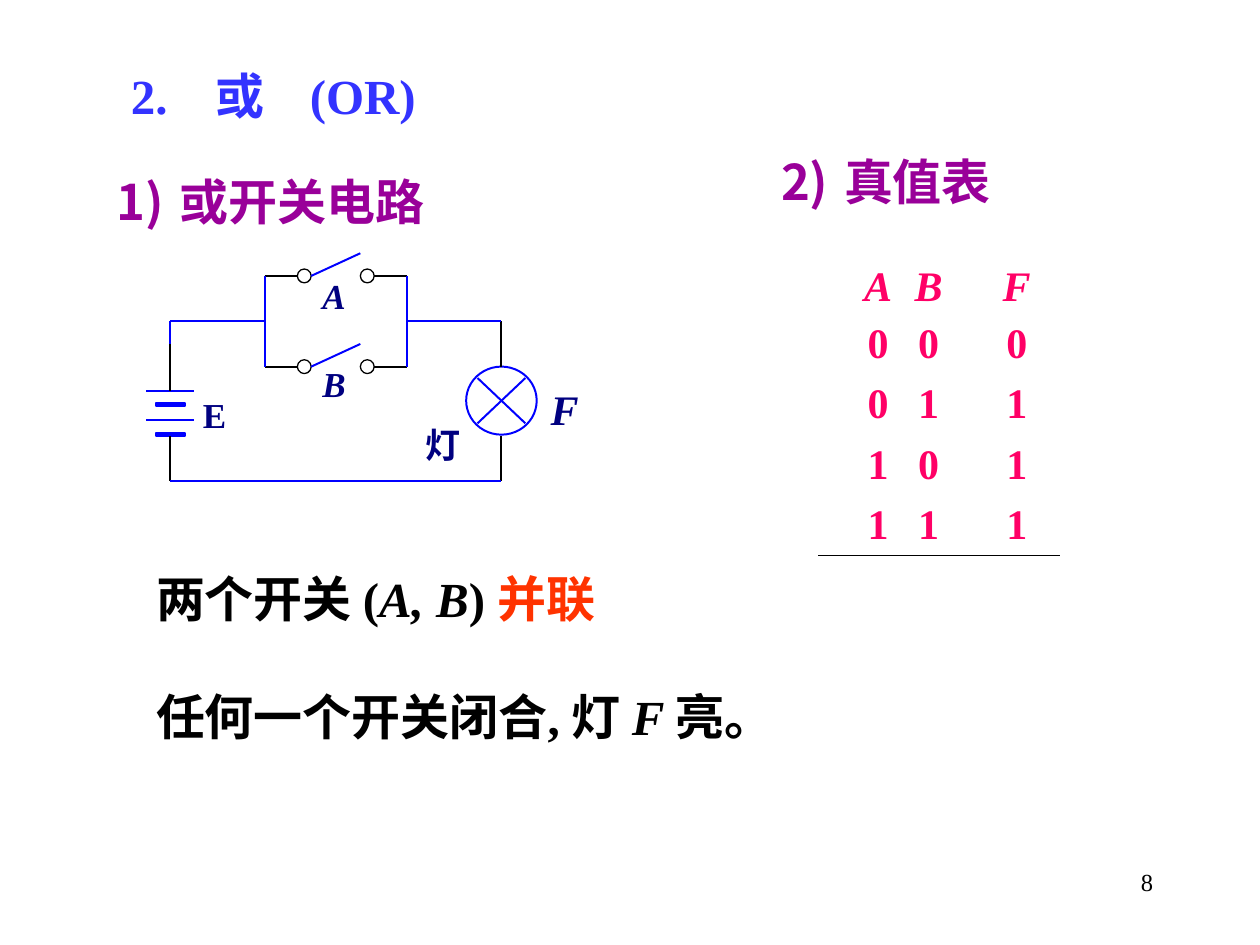
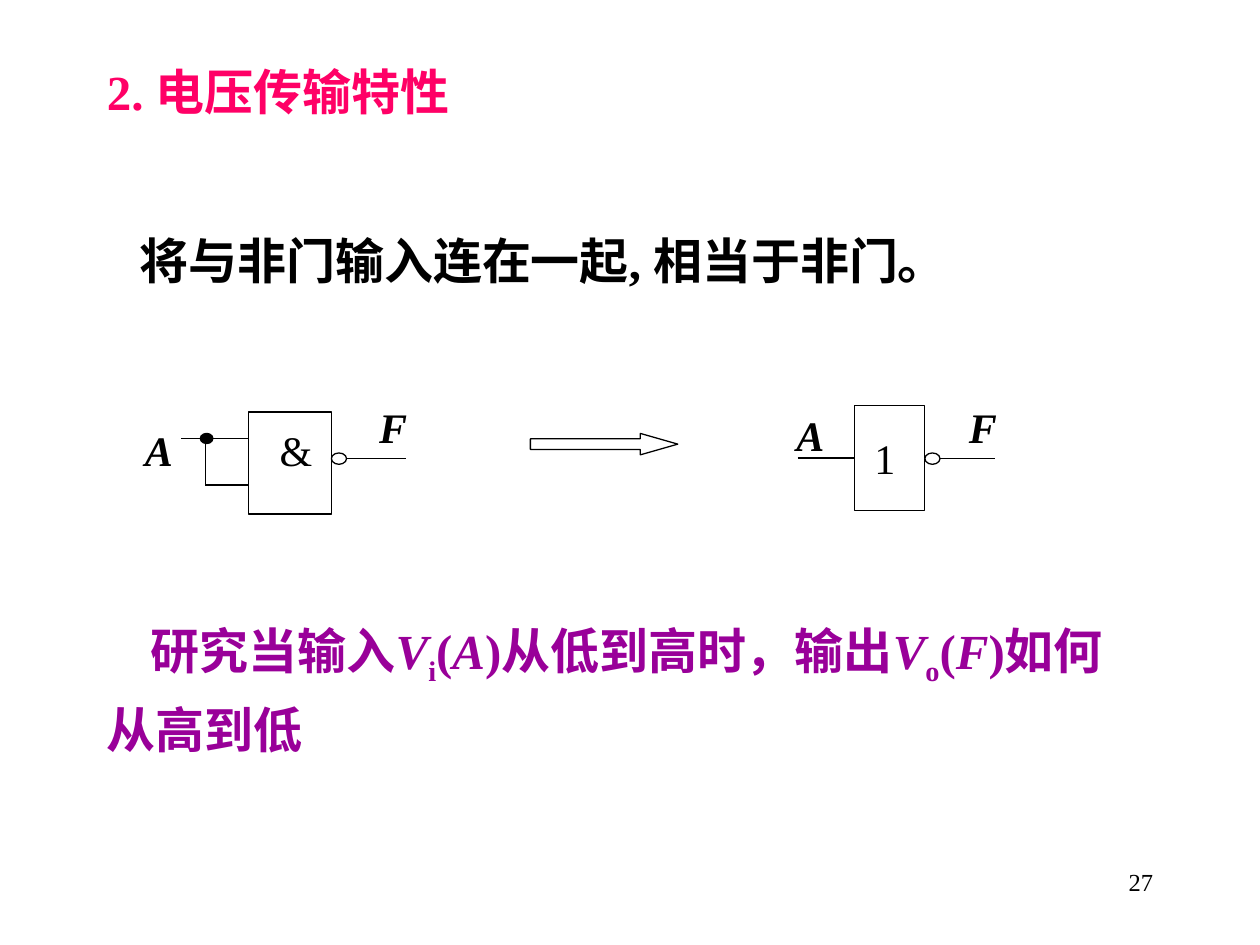
from lxml import etree
from pptx import Presentation
from pptx.dml.color import RGBColor
from pptx.enum.shapes import MSO_CONNECTOR, MSO_SHAPE
from pptx.enum.text import MSO_ANCHOR, PP_ALIGN
from pptx.oxml.ns import qn
from pptx.util import Inches, Pt

STRAIGHT = MSO_CONNECTOR.STRAIGHT
OVAL, RECT, ARROW = MSO_SHAPE.OVAL, MSO_SHAPE.RECTANGLE, MSO_SHAPE.RIGHT_ARROW
CENTER, RIGHT = PP_ALIGN.CENTER, PP_ALIGN.RIGHT
MIDDLE = MSO_ANCHOR.MIDDLE

BLACK = RGBColor(0x00, 0x00, 0x00)
WHITE = RGBColor(0xFF, 0xFF, 0xFF)
BLUE = RGBColor(0x00, 0x00, 0xFF)
NAVY = RGBColor(0x00, 0x00, 0x80)
TITLE_BLUE = RGBColor(0x33, 0x33, 0xFF)
PURPLE = RGBColor(0x99, 0x00, 0x99)
PINK = RGBColor(0xFF, 0x00, 0x66)
RED = RGBColor(0xFF, 0x33, 0x00)

LATIN, CJK = "Times New Roman", "Noto Sans CJK SC"
BODY, SYMBOL, SMALL, FOOTER = 28, 24, 20, 14
THIN, WIRE = 0.75, 1.13
LINE_H = 5.7

# The slide is a grid of 100 columns by 75 rows.
SLIDE_W, SLIDE_H = Inches(10), Inches(7.5)
COLS, ROWS = 100, 75


def across(cols):
    return round(SLIDE_W * cols / COLS)


def down(rows):
    return round(SLIDE_H * rows / ROWS)


def place(left, top, width, height):
    return across(left), down(top), across(width), down(height)


def add_run(p, text, size, color, bold=True, italic=False, sub=False):
    r = p.add_run()
    r.text = text
    r.font.size, r.font.bold, r.font.italic = Pt(size), bold, italic
    r.font.color.rgb = color
    r.font.name = LATIN
    rPr = r._r.get_or_add_rPr()
    etree.SubElement(rPr, qn("a:ea")).set("typeface", CJK)
    if sub:
        rPr.set("baseline", "-25000")


def add_text(s, box, runs, color, size=BODY, bold=True, inset=(1, 0.5)):
    """Add a one-paragraph box; runs are (text, options) pairs. Return the paragraph."""
    tf = s.shapes.add_textbox(*place(*box)).text_frame
    tf.word_wrap = True
    tf.margin_left = tf.margin_right = across(inset[0])
    tf.margin_top = tf.margin_bottom = down(inset[1])
    p = tf.paragraphs[0]
    for text, options in runs:
        add_run(p, text, **{"size": size, "color": color, "bold": bold, **options})
    return p


def add_label(s, left, top, text, color=BLACK, size=SYMBOL, bold=True, italic=False):
    add_text(s, (left, top, 4, 4), [(text, {"italic": italic})], color, size,
             bold, inset=(0, 0))


def add_page_number(s, number):
    p = add_text(s, (71.7, 68.3, 20.8, 5), [(str(number), {})], BLACK, FOOTER, bold=False)
    p.alignment = RIGHT


def set_indent(p, left, first):
    pPr = p._p.get_or_add_pPr()
    pPr.set("marL", str(across(left)))
    pPr.set("indent", str(across(first)))
    return pPr


def add_numbered_heading(s, box, number, text):
    p = add_text(s, box, [(text, {})], PURPLE)
    pPr = set_indent(p, 5, -5)
    color = etree.SubElement(pPr, qn("a:buClr"))
    etree.SubElement(color, qn("a:srgbClr")).set("val", str(PURPLE))
    etree.SubElement(pPr, qn("a:buFont")).set("typeface", CJK)
    bullet = etree.SubElement(pPr, qn("a:buAutoNum"))
    bullet.set("type", "arabicParenR")
    bullet.set("startAt", str(number))


def add_tabs(p, stops):
    tabs = etree.SubElement(p._p.get_or_add_pPr(), qn("a:tabLst"))
    for stop in stops:
        tab = etree.SubElement(tabs, qn("a:tab"))
        tab.set("pos", str(across(stop)))
        tab.set("algn", "l")


def add_line(s, x1, y1, x2, y2, color=BLACK, width=THIN):
    line = s.shapes.add_connector(STRAIGHT, across(x1), down(y1), across(x2), down(y2))
    line.line.color.rgb, line.line.width = color, Pt(width)
    etree.SubElement(line._element.spPr, qn("a:effectLst"))
    return line


def add_figure(s, kind, box, fill=None, color=BLACK, width=THIN):
    sp = s.shapes.add_shape(kind, *place(*box))
    sp.shadow.inherit = False
    if fill is None:
        sp.fill.background()
    else:
        sp.fill.solid()
        sp.fill.fore_color.rgb = fill
    sp.line.color.rgb, sp.line.width = color, Pt(width)
    return sp


def add_switch(s, left, right, y, name, name_top):
    """An open switch between two uprights of the parallel branch."""
    size, lead = 1.1, 2.6
    add_line(s, left, y, left + lead, y, width=WIRE)
    add_line(s, right - lead, y, right, y, width=WIRE)
    for x in (left + lead, right - lead - size):
        add_figure(s, OVAL, (x, y - size / 2, size, size), width=0)
    add_line(s, left + lead + size, y, right - lead - size, y - 1.8, BLUE, WIRE)
    add_label(s, left + 4.6, name_top, name, NAVY, SMALL, italic=True)


def add_lamp(s, x, y):
    width, height, dx, dy = 5.6, 5.4, 1.9, 1.8
    add_line(s, x + dx, y - dy, x - dx, y + dy, BLUE, WIRE)
    add_line(s, x - dx, y - dy, x + dx, y + dy, BLUE, WIRE)
    add_figure(s, OVAL, (x - width / 2, y - height / 2, width, height), None, BLUE, WIRE)
    add_label(s, 43.7, 30.4, "F", NAVY, italic=True)
    add_label(s, 33.8, 33.6, "灯", NAVY, SMALL)


def add_battery(s, x, top):
    for y in (top, top + 2.3):
        add_line(s, x - 1.9, y, x + 1.9, y, BLUE, WIRE)
    for y in (top + 1, top + 3.4):
        add_figure(s, RECT, (x - 1.1, y, 2.3, 0.2), BLUE, BLUE, WIRE)
    add_label(s, x + 2.6, top + 0.2, "E", NAVY, SMALL)


def add_or_circuit(s):
    source, fork, join, lamp = 13.5, 21, 32.3, 39.8
    upper, middle, lower, bottom = 21.9, 25.5, 29.1, 38.2
    add_switch(s, fork, join, upper, "A", 21.8)
    add_switch(s, fork, join, lower, "B", 28.8)
    add_lamp(s, lamp, 31.8)
    add_battery(s, source, 31)
    for x, y1, y2 in ((lamp, middle, 29.1), (lamp, 34.6, bottom),
                      (source, 27.3, 31), (source, 34.6, bottom)):
        add_line(s, x, y1, x, y2, width=WIRE)
    for ends in ((source, middle, source, 27.3), (source, bottom, lamp, bottom),
                 (fork, upper, fork, lower), (join, upper, join, lower),
                 (join, middle, lamp, middle), (source, middle, fork, middle)):
        add_line(s, *ends, BLUE, WIRE)


def add_cell_border(cell, side):
    """Draw a thin black border; side is L or B."""
    ln = etree.Element(qn("a:ln" + side))
    ln.set("w", str(Pt(THIN)))
    fill = etree.SubElement(ln, qn("a:solidFill"))
    etree.SubElement(fill, qn("a:srgbClr")).set("val", str(BLACK))
    tcPr = cell._tc.get_or_add_tcPr()
    tcPr.insert(len(tcPr.findall(qn("a:lnL"))), ln)


def add_truth_table(s):
    rows = ["ABF"] + [f"{a}{b}{a | b}" for a in (0, 1) for b in (0, 1)]
    widths, head_h, row_h = (6.7, 6.6, 5.8), 4.2, 4.8
    side_margins = ((2.7, 0), (0, 2.6), (0, 1))
    frame = s.shapes.add_table(len(rows), len(widths), *place(
        65, 20.7, sum(widths), head_h + row_h * (len(rows) - 1)))
    table = frame.table
    table.first_row = table.horz_banding = False
    for column, width in zip(table.columns, widths):
        column.width = across(width)
    for i, values in enumerate(rows):
        table.rows[i].height = down(row_h if i else head_h)
        for j, value in enumerate(values):
            cell = table.cell(i, j)
            cell.fill.background()
            cell.vertical_anchor = MIDDLE
            cell.margin_top = cell.margin_bottom = 0
            cell.margin_left, cell.margin_right = map(across, side_margins[j])
            p = cell.text_frame.paragraphs[0]
            p.alignment = CENTER
            add_run(p, value, SYMBOL, PINK, italic=i == 0)
            if j == 2:
                add_cell_border(cell, "L")
            if i in (0, len(rows) - 1):
                add_cell_border(cell, "B")


def add_gate(s, box, out_y, out_end, symbol, symbol_at):
    """A gate body with an inverting bubble and its output wire. Return the body."""
    body = add_figure(s, RECT, box, WHITE)
    right, bubble_w, bubble_h = box[0] + box[2], 1.2, 0.9
    add_line(s, right + bubble_w, out_y, out_end, out_y)
    add_figure(s, OVAL, (right, out_y - bubble_h / 2, bubble_w, bubble_h), WHITE)
    add_label(s, *symbol_at, symbol, bold=False)
    add_label(s, out_end - 2.1, 31.9, "F", italic=True)
    return body


def add_nand_gate(s):
    add_gate(s, (19.7, 32.7, 6.6, 8.1), 36.4, 32.2, "&", (22.2, 33.7))
    add_label(s, 11.5, 33.7, "A", italic=True)
    add_line(s, 14.4, 34.8, 19.7, 34.8)
    add_line(s, 16.3, 38.5, 19.7, 38.5)
    add_line(s, 16.3, 34.8, 16.3, 38.5)
    add_figure(s, OVAL, (15.9, 34.4, 1, 0.8), BLACK)


def add_not_gate(s):
    left, top, width, height = box = (67.8, 32.2, 5.6, 8.3)
    body = add_gate(s, box, 36.4, 79, "1", (69.4, 34.3))
    add_label(s, 63.2, 32.5, "A", italic=True)
    middle = top + height / 2
    add_line(s, 63.3, middle, left, middle).end_connect(body, 1)


def build_or_slide(s):
    p = add_text(s, (9.4, 4.7, 28.9, LINE_H), [("2.\t或\t(OR)", {})], TITLE_BLUE)
    add_tabs(p, (6.7, 14.2))
    add_numbered_heading(s, (8.3, 13.1, 39.2, LINE_H), 1, "或开关电路")
    add_numbered_heading(s, (61, 11.5, 33.2, LINE_H), 2, "真值表")
    add_or_circuit(s)
    add_truth_table(s)
    add_text(s, (11.4, 44.6, 45, LINE_H), [
        ("两个开关 (", {}), ("A, B", {"italic": True}), (") ", {}),
        ("并联", {"color": RED})], BLACK)
    add_text(s, (11.4, 54, 52.8, LINE_H), [
        ("任何一个开关闭合, 灯 ", {}), ("F ", {"italic": True}), ("亮。", {})], BLACK)
    add_page_number(s, 8)


def build_transfer_slide(s):
    italic, sub = {"italic": True}, {"sub": True}
    add_text(s, (7.5, 4.4, 85, LINE_H), [("2. 电压传输特性", {})], PINK)
    p = add_text(s, (7.5, 17.8, 76.4, LINE_H),
                 [("将与非门输入连在一起, 相当于非门。", {})], BLACK)
    set_indent(p, 0, 2.6)
    add_nand_gate(s)
    arrow = add_figure(s, ARROW, (42.1, 34.4, 11.7, 1.7), WHITE)
    arrow.adjustments[1] = 1.75
    add_not_gate(s)
    p = add_text(s, (7.5, 47.7, 83.3, 13), [
        ("研究当输入", {}), ("V", italic), ("i", sub), ("(", {}), ("A", italic),
        (")从低到高时，输出", {}), ("V", italic), ("o", sub), ("(", {}),
        ("F", italic), (")如何从高到低", {})], PURPLE)
    p.line_spacing = 1.2
    set_indent(p, 0, 3.5)
    add_page_number(s, 27)


def main():
    prs = Presentation()
    prs.slide_width, prs.slide_height = SLIDE_W, SLIDE_H
    blank = prs.slide_layouts[6]
    for build in (build_or_slide, build_transfer_slide):
        build(prs.slides.add_slide(blank))
    prs.save("out.pptx")


if __name__ == "__main__":
    main()
